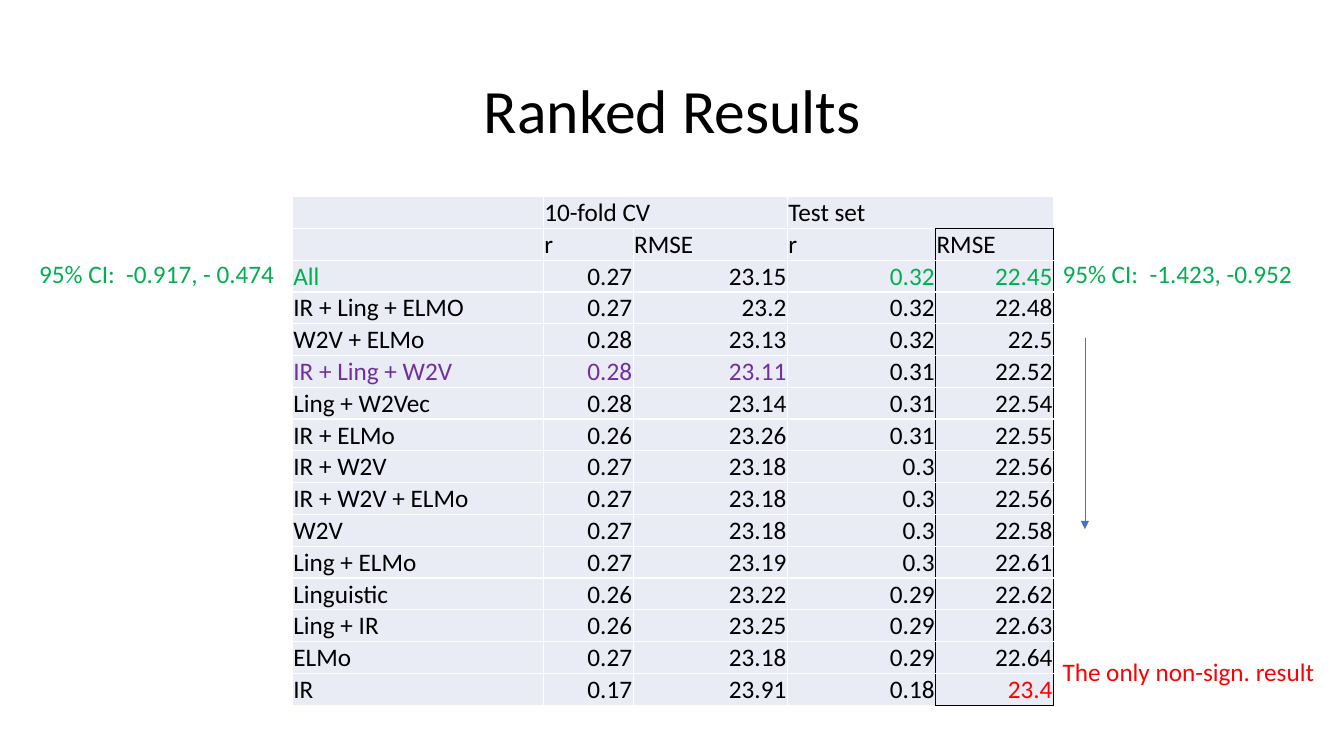
from lxml import etree
from pptx import Presentation
from pptx.dml.color import RGBColor
from pptx.enum import shapes, text
from pptx.oxml import ns
from pptx.util import Inches, Pt

FONT = "Calibri"
BLACK, WHITE, GREEN, PURPLE, RED = "000000", "FFFFFF", "00B050", "7030A0", "FF0000"
BLUE, CELL_FILL = "4472C4", "E9EBF5"

COLUMN_WIDTHS = [2.49, 0.89, 1.53, 1.47, 1.17]
HEADERS = [
    ["", "10-fold CV", "", "Test set", ""],
    ["", "r", "RMSE", "r", "RMSE"],
]
RESULTS = [
    ["All", "0.27", "23.15", "0.32", "22.45"],
    ["IR + Ling + ELMO", "0.27", "23.2", "0.32", "22.48"],
    ["W2V + ELMo", "0.28", "23.13", "0.32", "22.5"],
    ["IR + Ling + W2V", "0.28", "23.11", "0.31", "22.52"],
    ["Ling + W2Vec", "0.28", "23.14", "0.31", "22.54"],
    ["IR + ELMo", "0.26", "23.26", "0.31", "22.55"],
    ["IR + W2V", "0.27", "23.18", "0.3", "22.56"],
    ["IR + W2V + ELMo", "0.27", "23.18", "0.3", "22.56"],
    ["W2V", "0.27", "23.18", "0.3", "22.58"],
    ["Ling + ELMo", "0.27", "23.19", "0.3", "22.61"],
    ["Linguistic", "0.26", "23.22", "0.29", "22.62"],
    ["Ling + IR", "0.26", "23.25", "0.29", "22.63"],
    ["ELMo", "0.27", "23.18", "0.29", "22.64"],
    ["IR", "0.17", "23.91", "0.18", "23.4"],
]
# Highlighted columns of a result row, by the name of its model
HIGHLIGHTS = {
    "All": (GREEN, (0, 3, 4)),
    "IR + Ling + W2V": (PURPLE, (0, 1, 2)),
    "IR": (RED, (4,)),
}


def rgb(color):
    return RGBColor.from_string(color)


def add_run(paragraph, words, size, color):
    run = paragraph.add_run()
    run.text = words
    run.font.size = Pt(size)
    run.font.name = FONT
    run.font.color.rgb = rgb(color)


def add_title(slide, words):
    title = slide.shapes.title
    title.left, title.top = Inches(0.92), Inches(0.4)
    title.width, title.height = Inches(11.5), Inches(1.45)
    title.text_frame.vertical_anchor = text.MSO_ANCHOR.MIDDLE
    paragraph = title.text_frame.paragraphs[0]
    paragraph.alignment = text.PP_ALIGN.CENTER
    paragraph.line_spacing = 0.9
    add_run(paragraph, words, 44, BLACK)


def add_note(slide, left, top, words, color):
    note = slide.shapes.add_textbox(Inches(left), Inches(top), Inches(3.27), Inches(0.4))
    note.text_frame.word_wrap = True
    add_run(note.text_frame.paragraphs[0], words, 18, color)


def set_borders(cell, colors):
    """Draw 1 pt borders; colors are in the order left, right, top, bottom."""
    properties = cell._tc.get_or_add_tcPr()
    for side, color in zip("LRTB", colors):
        line = etree.SubElement(properties, ns.qn(f"a:ln{side}"), w=str(Pt(1)))
        fill = etree.SubElement(line, ns.qn("a:solidFill"))
        etree.SubElement(fill, ns.qn("a:srgbClr"), val=color)


def border_colors(row, column, last_row):
    """Frame the test-set RMSE column in black, below the top header."""
    left = right = top = bottom = WHITE
    if row > 0 and column == 3:
        right = BLACK
    if row > 0 and column == 4:
        left = right = BLACK
        top = BLACK if row == 1 else WHITE
        bottom = BLACK if row == last_row else WHITE
    return left, right, top, bottom


def fill_cell(cell, words, color, alignment):
    cell.margin_left = cell.margin_right = cell.margin_top = Inches(0.01)
    cell.margin_bottom = 0
    cell.vertical_anchor = text.MSO_ANCHOR.BOTTOM
    cell.fill.solid()
    cell.fill.fore_color.rgb = rgb(CELL_FILL)
    if words:
        paragraph = cell.text_frame.paragraphs[0]
        paragraph.alignment = alignment
        add_run(paragraph, words, 18, color)


def add_results_table(slide):
    rows = HEADERS + RESULTS
    table = slide.shapes.add_table(
        len(rows), len(COLUMN_WIDTHS),
        Inches(2.9), Inches(1.95), Inches(7.54), Inches(4.91)).table
    table.first_row = table.horz_banding = False
    for column, width in zip(table.columns, COLUMN_WIDTHS):
        column.width = Inches(width)
    for first in (1, 3):
        table.cell(0, first).merge(table.cell(0, first + 1))
    for r, values in enumerate(rows):
        highlight, highlighted = HIGHLIGHTS.get(values[0], (BLACK, ()))
        for c, value in enumerate(values):
            is_number = r >= len(HEADERS) and c > 0
            cell = table.cell(r, c)
            set_borders(cell, border_colors(r, c, len(rows) - 1))
            fill_cell(cell, value, highlight if c in highlighted else BLACK,
                      text.PP_ALIGN.RIGHT if is_number else text.PP_ALIGN.LEFT)


def add_down_arrow(slide, x, top, bottom):
    arrow = slide.shapes.add_connector(
        shapes.MSO_CONNECTOR.STRAIGHT, Inches(x), Inches(top), Inches(x), Inches(bottom))
    arrow.line.color.rgb = rgb(BLUE)
    arrow.line.width = Pt(0.5)
    etree.SubElement(arrow.line._get_or_add_ln(), ns.qn("a:tailEnd"), type="triangle")
    etree.SubElement(arrow._element.spPr, ns.qn("a:effectLst"))


def main():
    deck = Presentation()
    deck.slide_width, deck.slide_height = Inches(13.33), Inches(7.5)
    slide = deck.slides.add_slide(deck.slide_layouts[5])
    add_title(slide, "Ranked Results")
    add_results_table(slide)
    add_note(slide, 10.44, 2.51, "95% CI:  -1.423, -0.952", GREEN)
    add_note(slide, 0.29, 2.51, "95% CI:  -0.917, - 0.474", GREEN)
    add_note(slide, 10.44, 6.46, "The only non-sign. result", RED)
    add_down_arrow(slide, 10.76, 3.35, 5.25)
    deck.save("out.pptx")


if __name__ == "__main__":
    main()
